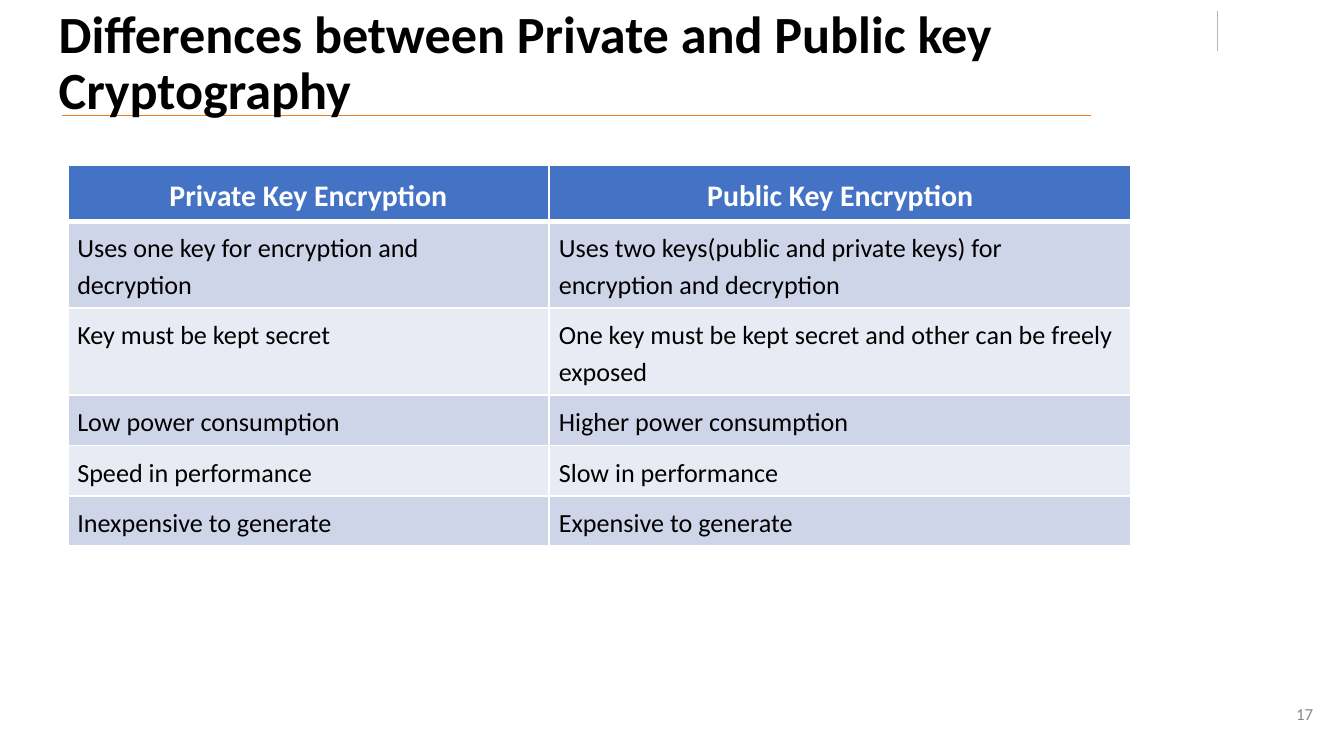
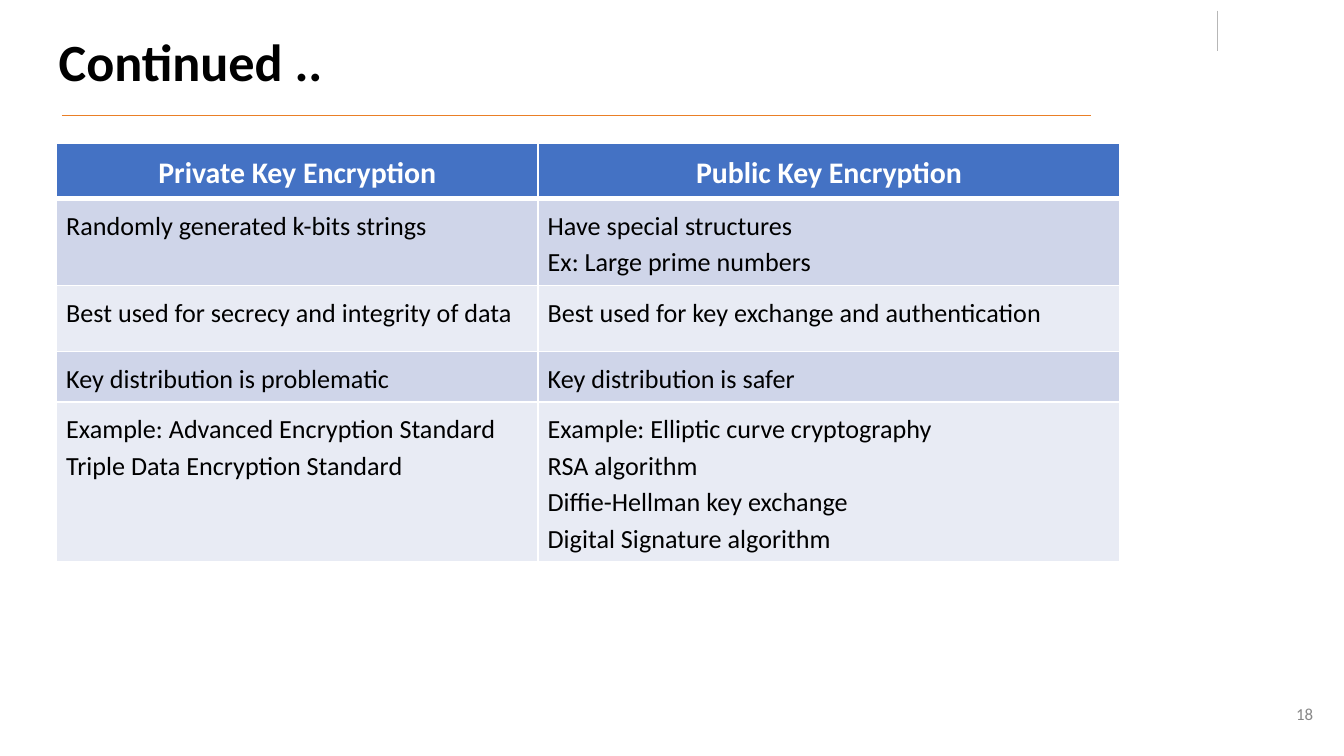
from dataclasses import dataclass

from lxml import etree
from pptx import Presentation
from pptx import util as u
from pptx.dml.color import RGBColor
from pptx.enum import shapes, text
from pptx.oxml import ns


@dataclass(frozen=True)
class Theme:
    font: str = "Calibri"
    black: str = "000000"
    white: str = "FFFFFF"
    accent: str = "EA7F26"
    tick: str = "B7B7B7"
    muted: str = "888888"
    header: str = "4472C4"
    bands: tuple = ("CFD5E9", "E8EBF4")
    title_size: float = 28
    header_size: float = 16
    body_size: float = 14
    number_size: float = 9
    rule_width: float = 0.75
    border: float = 0.96
    header_border: float = 3


theme = Theme()
left, center, right = text.PP_ALIGN.LEFT, text.PP_ALIGN.CENTER, text.PP_ALIGN.RIGHT

title_style = {"size": theme.title_size, "bold": True, "color": theme.black,
               "alignment": left, "line_spacing": 0.9}
number_style = {"size": theme.number_size, "bold": False, "color": theme.muted,
                "alignment": right, "line_spacing": 1.0}
header_style = {"size": theme.header_size, "bold": True, "color": theme.white,
                "alignment": center, "line_spacing": 1.15}
body_style = {"size": theme.body_size, "bold": False, "color": theme.black,
              "alignment": left, "line_spacing": 1.15}

cell_format = {"margin_left": u.Cm(0.18), "margin_right": u.Cm(0.18),
               "margin_top": u.Cm(0.13), "margin_bottom": u.Cm(0.13),
               "vertical_anchor": text.MSO_ANCHOR.TOP}
frame_format = {"word_wrap": True, "auto_size": text.MSO_AUTO_SIZE.NONE,
                "vertical_anchor": text.MSO_ANCHOR.MIDDLE}

# Start x, start y, end x, end y in cm, then colour
rules = [(23.01, 0.2, 23.01, 0.97, theme.tick),
         (1.17, 2.18, 20.62, 2.18, theme.accent)]
column_widths = (9.1, 11.0)
headings = ("Private Key Encryption", "Public Key Encryption")

pages = [
    {"title": "Differences between Private and Public key Cryptography",
     "number": 17,
     "corner": (1.28, 3.13),
     "heights": (0.82, 1.42, 1.42, 0.79, 0.79, 0.79),
     "rows": [
         ("Uses one key for encryption and decryption",
          "Uses two keys(public and private keys) for encryption and decryption"),
         ("Key must be kept secret",
          "One key must be kept secret and other can be freely exposed"),
         ("Low power consumption", "Higher power consumption"),
         ("Speed in performance", "Slow in performance"),
         ("Inexpensive to generate", "Expensive to generate"),
     ]},
    {"title": "Continued ..",
     "number": 18,
     "corner": (1.07, 2.7),
     "heights": (0.77, 1.35, 1.25, 0.83, 2.65),
     "rows": [
         ("Randomly generated k-bits strings",
          "Have special structures\nEx: Large prime numbers"),
         ("Best used for secrecy and integrity of data",
          "Best used for key exchange and authentication"),
         ("Key distribution is problematic", "Key distribution is safer"),
         ("Example: Advanced Encryption Standard\nTriple Data Encryption Standard",
          "Example: Elliptic curve cryptography\nRSA algorithm\n"
          "Diffie-Hellman key exchange\nDigital Signature algorithm"),
     ]},
]


def write(frame, words, style):
    """Fill a text frame with one paragraph per line of words."""
    frame.text = words
    for para in frame.paragraphs:
        for name in ("alignment", "line_spacing"):
            setattr(para, name, style[name])
        for span in para.runs:
            span.font.name = theme.font
            span.font.size = u.Pt(style["size"])
            span.font.bold = style["bold"]
            span.font.color.rgb = RGBColor.from_string(style["color"])


def add_border(cell, side, width):
    """Draw one white edge; call before the cell gets its fill."""
    line = etree.SubElement(cell._tc.get_or_add_tcPr(), ns.qn(f"a:ln{side}"),
                            w=str(u.Pt(width)))
    fill = etree.SubElement(line, ns.qn("a:solidFill"))
    etree.SubElement(fill, ns.qn("a:srgbClr"), val=theme.white)


deck = Presentation()
deck.slide_width, deck.slide_height = u.Cm(25.4), u.Cm(14.29)

for page in pages:
    slide = deck.slides.add_slide(deck.slide_layouts[6])

    for *ends, color in rules:
        rule = slide.shapes.add_connector(shapes.MSO_CONNECTOR.STRAIGHT,
                                          *map(u.Cm, ends))
        rule.line.color.rgb = RGBColor.from_string(color)
        rule.line.width = u.Pt(theme.rule_width)
        etree.SubElement(rule._element.spPr, ns.qn("a:effectLst"))

    for area, words, style in (
            ((0.86, 0.41, 21.9, 1.63), page["title"], title_style),
            ((23.55, 12.95, 1.52, 1.09), str(page["number"]), number_style)):
        box = slide.shapes.add_textbox(*map(u.Cm, area))
        for name, value in frame_format.items():
            setattr(box.text_frame, name, value)
        write(box.text_frame, words, style)

    rows = [headings, *page["rows"]]
    table = slide.shapes.add_table(
        len(rows), len(headings), *map(u.Cm, page["corner"]),
        u.Cm(sum(column_widths)), u.Cm(sum(page["heights"]))).table
    for column, width in zip(table.columns, column_widths):
        column.width = u.Cm(width)
    for index, (row, height) in enumerate(zip(rows, page["heights"])):
        table.rows[index].height = u.Cm(height)
        is_header = index == 0
        color = theme.header if is_header else theme.bands[(index - 1) % 2]
        widths = {"L": theme.border, "R": theme.border,
                  "T": theme.header_border if index == 1 else theme.border,
                  "B": theme.header_border if is_header else theme.border}
        for position, words in enumerate(row):
            cell = table.cell(index, position)
            for name, value in cell_format.items():
                setattr(cell, name, value)
            for side, width in widths.items():
                add_border(cell, side, width)
            cell.fill.solid()
            cell.fill.fore_color.rgb = RGBColor.from_string(color)
            write(cell.text_frame, words, header_style if is_header else body_style)

deck.save("out.pptx")
